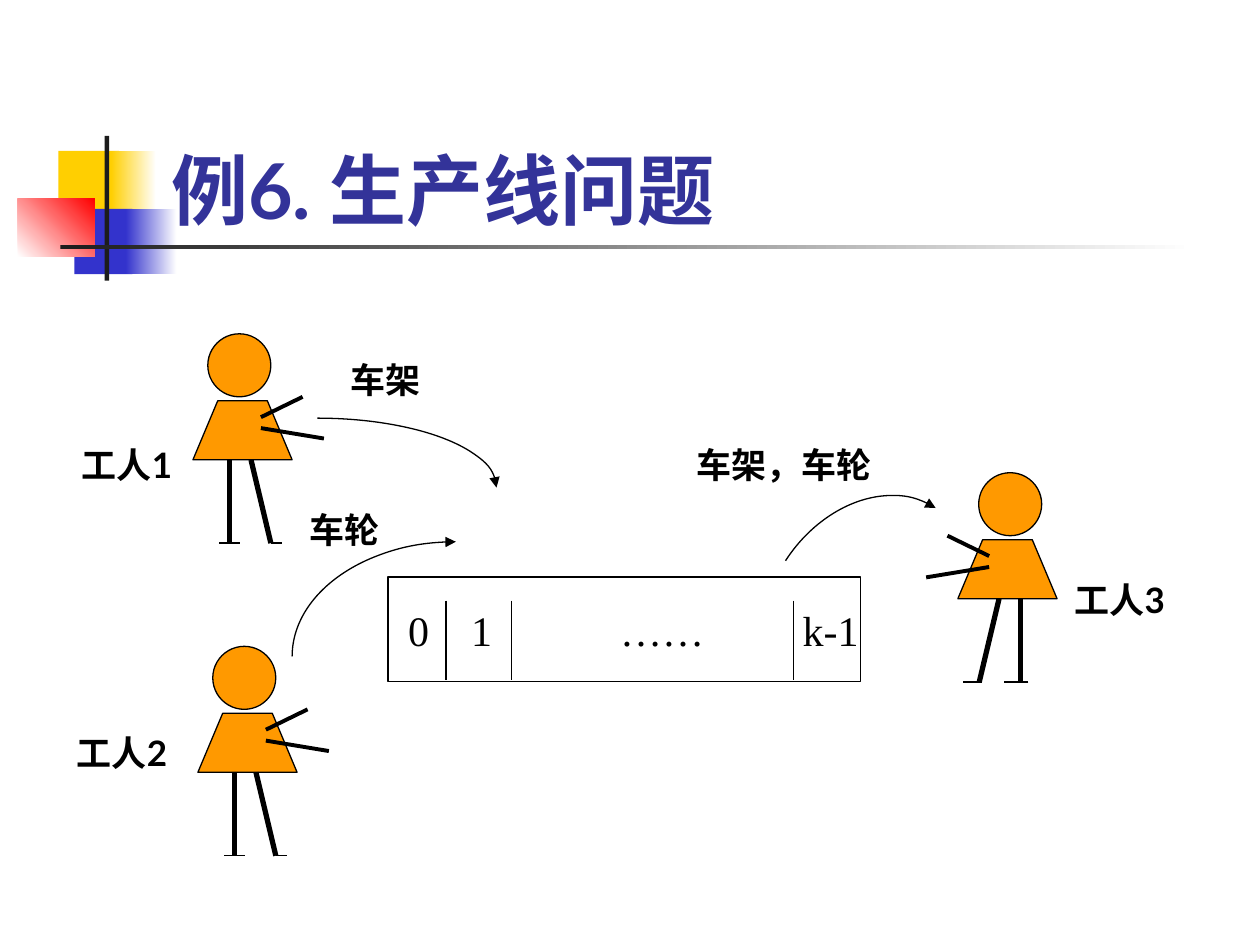
import pptx
import pptx.util
import pptx.dml.color
import pptx.enum.shapes
import pptx.enum.text
import pptx.oxml
import pptx.oxml.ns
from lxml import etree

Cm = pptx.util.Cm
Pt = pptx.util.Pt
RGB = pptx.dml.color.RGBColor
KIND = pptx.enum.shapes.MSO_SHAPE
ANCHOR = pptx.enum.text.MSO_ANCHOR
qn = pptx.oxml.ns.qn

BLACK = RGB(0x00, 0x00, 0x00)
WHITE = RGB(0xFF, 0xFF, 0xFF)
GOLD = RGB(0xFF, 0xCF, 0x01)
BLUE = RGB(0x33, 0x33, 0xCC)
RED = RGB(0xFF, 0x00, 0x00)
DARK = RGB(0x1C, 0x1C, 0x1C)
NAVY = RGB(0x33, 0x33, 0x99)
ORANGE = RGB(0xFF, 0x99, 0x00)

TITLE = {"name": "Lato", "size": Pt(44), "bold": True}
LABEL = {"name": "Lato", "size": Pt(20), "bold": True}
CELL = {"name": "Times New Roman", "size": Pt(24), "bold": False}


def style(shape, fill=None, line=None):
    """Set a plain fill and a line width in points; None means neither."""
    shape.shadow.inherit = False
    if fill is None:
        shape.fill.background()
    else:
        shape.fill.solid()
        shape.fill.fore_color.rgb = fill
    if line is None:
        shape.line.fill.background()
    else:
        shape.line.color.rgb = BLACK
        shape.line.width = Pt(line)


def add_block(slide, box, fill=None, line=None, kind=KIND.RECTANGLE):
    shape = slide.shapes.add_shape(kind, *map(Cm, box))
    style(shape, fill, line)
    return shape


def add_fade(slide, box, start, end, angle=0):
    shape = add_block(slide, box)
    shape.fill.gradient()
    shape.fill.gradient_angle = angle
    for stop, color, place in zip(shape.fill.gradient_stops, (start, end), (0, 1)):
        stop.color.rgb = color
        stop.position = place


def add_line(slide, start, end, width=0.75):
    line = slide.shapes.add_connector(
        pptx.enum.shapes.MSO_CONNECTOR.STRAIGHT, *map(Cm, start + end))
    line.line.color.rgb = BLACK
    line.line.width = Pt(width)
    etree.SubElement(line._element.spPr, qn("a:effectLst"))


def write(frame, text, look, color=BLACK, tabs=()):
    para = frame.paragraphs[0]
    para.text = text
    para.alignment = pptx.enum.text.PP_ALIGN.LEFT
    if tabs:
        stops = etree.SubElement(para._p.get_or_add_pPr(), qn("a:tabLst"))
        for place in tabs:
            etree.SubElement(stops, qn("a:tab"), pos=str(Cm(place)), algn="l")
    font = para.runs[0].font
    for key, value in look.items():
        setattr(font, key, value)
    font.color.rgb = color


def add_text(slide, box, text, look=LABEL, color=BLACK, anchor=ANCHOR.TOP):
    frame = slide.shapes.add_textbox(*map(Cm, box)).text_frame
    frame.word_wrap = True
    frame.vertical_anchor = anchor
    write(frame, text, look, color)


def draw_header(slide, left, top):
    add_block(slide, (left + 0.82, top + 0.3, 1.22, 1.32), GOLD)
    add_fade(slide, (left + 1.88, top + 0.3, 0.91, 1.32), GOLD, WHITE)
    add_block(slide, (left + 1.14, top + 1.47, 1.17, 1.32), BLUE)
    add_fade(slide, (left + 2.18, top + 1.47, 1.02, 1.32), BLUE, WHITE)
    add_fade(slide, (left, top + 1.27, 1.55, 1.17), WHITE, RED, 45)
    add_block(slide, (left + 1.75, top, 0.09, 2.92), DARK)
    add_fade(slide, (left + 0.86, top + 2.2, 22.86, 0.09), DARK, WHITE)
    add_text(slide, (left + 2.84, top - 1.04, 21.64, 3.17),
             "例6. 生产线问题", TITLE, NAVY, ANCHOR.BOTTOM)


def draw_worker(slide, left, top, feet, flip=False):
    """Draw a worker in a box 2.64 cm wide, facing right unless flipped."""
    def at(x, y):
        return (left + (2.64 - x if flip else x), top + y)

    middle, _ = at(0.94, 0)
    add_block(slide, (middle - 0.64, top, 1.27, 1.27), ORANGE, 0.75, KIND.OVAL)
    points = [tuple(map(Cm, at(x, y)))
              for x, y in ((0, 2.54), (0.5, 1.35), (1.5, 1.35), (2, 2.54))]
    path = slide.shapes.build_freeform(*points[0])
    path.add_line_segments(points[1:], close=True)
    style(path.convert_to_shape(), ORANGE, 0.75)
    for hip, foot in ((0.74, 0.74), (1.17, 1.57)):
        add_line(slide, at(hip, 2.54), at(foot, 4.22), 3)
    add_line(slide, at(1.37, 1.9), at(2.64, 2.11), 2.25)
    add_line(slide, at(1.37, 1.68), at(2.21, 1.27), 2.25)
    for heel, toe in feet:
        add_line(slide, at(heel, 4.22), at(toe, 4.22))


def draw_buffer(slide, left, top, width, height):
    box = add_block(slide, (left, top, width, height), line=0.75)
    frame = box.text_frame
    frame.word_wrap = True
    frame.vertical_anchor = ANCHOR.MIDDLE
    frame.margin_left, frame.margin_right = Cm(0.41), 0
    write(frame, "0\t1\t……\tk-1", CELL, tabs=(1.27, 4.27, 7.95))
    for x in (1.17, 2.49, 8.18):
        add_line(slide, (left + x, top + 0.48), (left + x, top + height - 0.03))


def draw_arc(slide, x, y, wide, high, turn):
    """Draw a quarter ellipse with an arrowhead, centred at x, y."""
    box = (x - wide, y - high, 2 * wide, 2 * high)
    arc = add_block(slide, box, line=0.75, kind=KIND.ARC)
    arc.rotation = turn
    etree.SubElement(arc.line._get_or_add_ln(), qn("a:tailEnd"), type="triangle")


def main():
    deck = pptx.Presentation()
    deck.slide_width, deck.slide_height = Cm(25.4), Cm(19.05)
    slide = deck.slides.add_slide(deck.slide_layouts[6])

    draw_header(slide, 0.36, 2.74)
    draw_buffer(slide, 7.82, 11.63, 9.53, 2.11)

    feet = ((0.53, 0.94), (1.57, 1.8))
    draw_worker(slide, 3.89, 6.73, feet)
    draw_worker(slide, 3.99, 13.03, feet)
    draw_worker(slide, 18.67, 9.53, ((0.58, 1.07), (1.52, 1.9)), flip=True)

    for arc in ((6.4, 9.83, 3.61, 1.4, 0),
                (9.19, 13.23, 2.31, 3.3, 270),
                (17.48, 12.37, 2.54, 1.96, 303)):
        draw_arc(slide, *arc)

    for left, top, width, text in (
            (6.81, 7.11, 2.01, "车架"),
            (5.99, 10.13, 2.01, "车轮"),
            (13.79, 8.81, 4.09, "车架，车轮"),
            (1.4, 8.81, 2.59, "工人1"),
            (1.3, 14.63, 2.59, "工人2"),
            (21.41, 11.53, 2.59, "工人3")):
        add_text(slide, (left, top, width, 1.12), text)

    deck.save("out.pptx")


if __name__ == "__main__":
    main()
